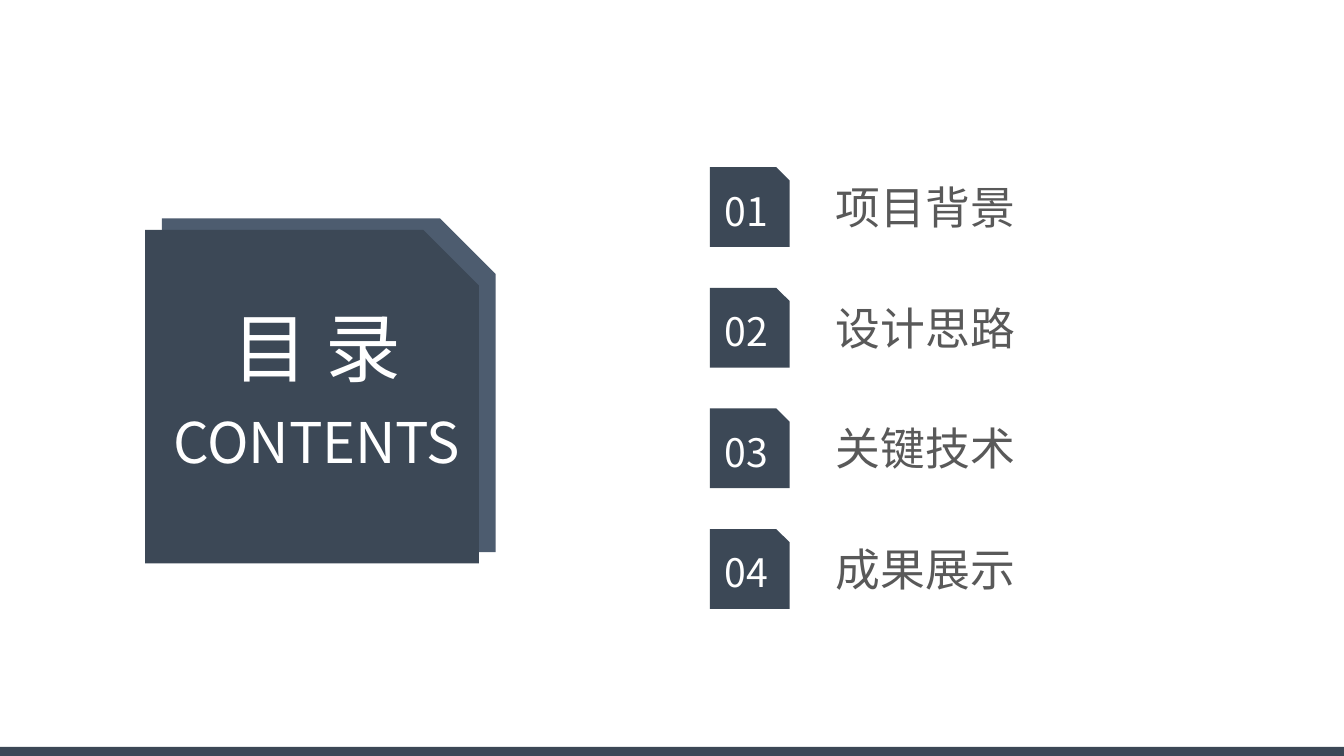
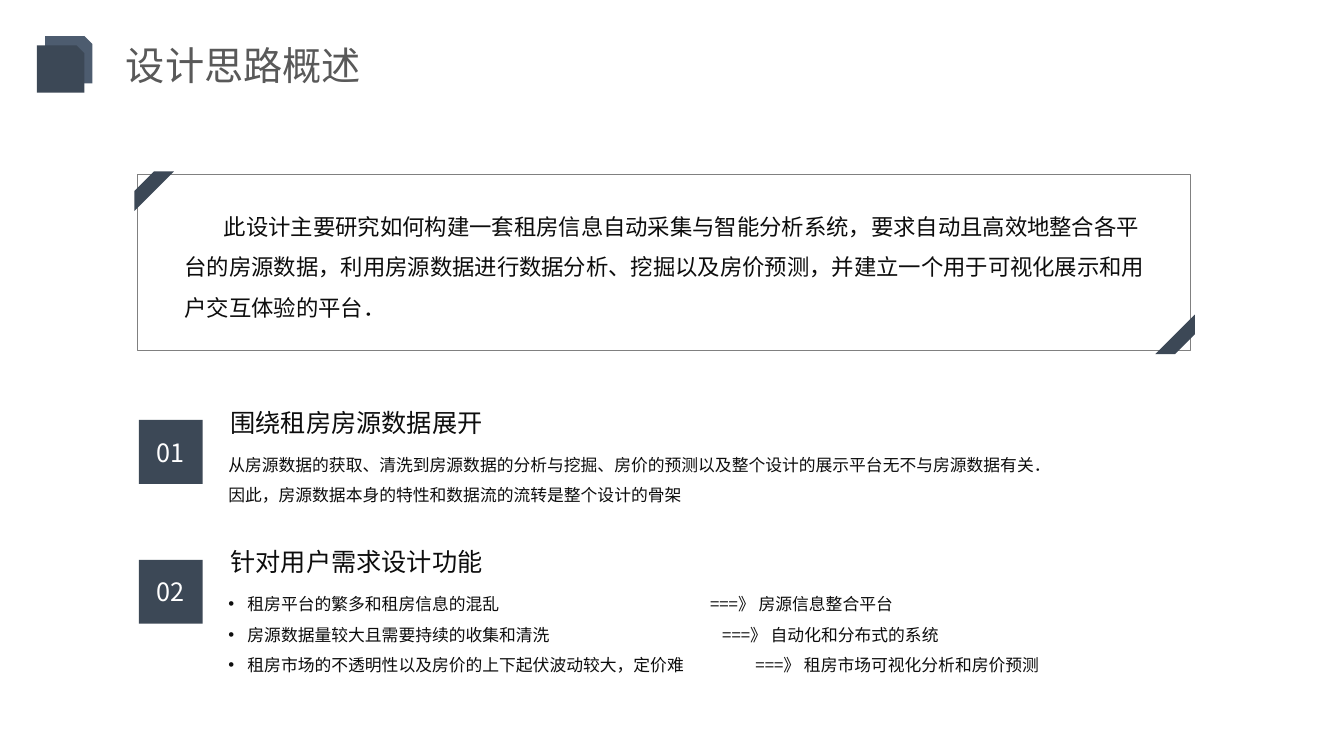
from dataclasses import dataclass

from lxml.etree import SubElement as Sub
from pptx import Presentation
from pptx.dml.color import RGBColor as RGB
from pptx.enum.shapes import MSO_SHAPE as Geo
from pptx.enum.text import MSO_ANCHOR as Anchor
from pptx.enum.text import MSO_AUTO_SIZE as Fit
from pptx.enum.text import PP_ALIGN as Align
from pptx.oxml.ns import qn
from pptx.util import Inches, Length, Pt

# Shared look
FACE = "Noto Sans CJK SC"
DARK = RGB(0x3C, 0x48, 0x56)
SLATE = RGB(0x4D, 0x5C, 0x6F)
GREY = RGB(0x59, 0x59, 0x59)
RULE = RGB(0x80, 0x80, 0x80)
INK = RGB(0x0D, 0x0D, 0x0D)
WHITE = RGB(0xFF, 0xFF, 0xFF)

# The slide is a grid of square cells
COLS, ROWS = 80, 45
CELL = 7.5 / ROWS


@dataclass
class Box:
    """An area in columns and rows."""
    x: float
    y: float
    w: float
    h: float

    def place(self) -> tuple[Length, ...]:
        return tuple(Inches(n * CELL) for n in (self.x, self.y, self.w, self.h))


@dataclass
class Style:
    size: float
    color: RGB
    align: Align = Align.LEFT
    space: float = 1.0


@dataclass
class Line:
    text: str
    bullet: bool = False
    first: float = 0
    tab: float = 0


@dataclass
class Part:
    head: str
    lines: list[Line]


HEAD = Style(28, GREY)
COVER = Style(54, WHITE, Align.CENTER)
SUB = Style(40, WHITE, Align.CENTER)
ITEM = Style(32, GREY)
TOPIC = Style(18, INK, space=1.5)
BODY = Style(12, INK, space=1.5)
LEAD = Style(16, INK, space=1.5)


def write(frame, lines: list[Line], style: Style) -> None:
    for i, line in enumerate(lines):
        para = frame.paragraphs[0] if i == 0 else frame.add_paragraph()
        para.text = line.text
        para.alignment = style.align
        para.line_spacing = style.space
        props = para._p.get_or_add_pPr()
        if line.first:
            props.set("indent", str(Inches(line.first)))
        if line.bullet:
            props.set("marL", str(Inches(0.19)))
            props.set("indent", str(Inches(-0.19)))
            Sub(props, qn("a:buFont"), typeface="Arial")
            Sub(props, qn("a:buChar"), char="•")
        if line.tab:
            tabs = Sub(props, qn("a:tabLst"))
            Sub(tabs, qn("a:tab"), pos=str(Inches(line.tab)), algn="l")
        font = para.font
        font.size = Pt(style.size)
        font.color.rgb = style.color
        font.name = FACE
        Sub(props.find(qn("a:defRPr")), qn("a:ea"), typeface=FACE)


def add_text(slide, box: Box, lines: list[Line], style: Style,
             wrap: bool = True) -> None:
    frame = slide.shapes.add_textbox(*box.place()).text_frame
    frame.word_wrap = wrap
    write(frame, lines, style)


def add_form(slide, geo: Geo, box: Box, fill: RGB | None = DARK):
    form = slide.shapes.add_shape(geo, *box.place())
    form.shadow.inherit = False
    if fill is None:
        form.fill.background()
        form.line.color.rgb = RULE
        form.line.width = Pt(0.5)
    else:
        form.fill.solid()
        form.fill.fore_color.rgb = fill
        form.line.fill.background()
    return form


def add_badge(slide, geo: Geo, box: Box, num: int, size: float,
              inset: float) -> None:
    frame = add_form(slide, geo, box).text_frame
    frame.margin_left = frame.margin_right = Inches(inset)
    frame.margin_top = frame.margin_bottom = Inches(inset)
    frame.vertical_anchor = Anchor.MIDDLE
    write(frame, [Line(f"{num:02}")], Style(size, WHITE, Align.CENTER))


def add_stamp(slide, box: Box, dx: float, dy: float) -> None:
    back = Box(box.x + dx, box.y - dy, box.w, box.h)
    add_form(slide, Geo.SNIP_1_RECTANGLE, back, SLATE)
    add_form(slide, Geo.SNIP_1_RECTANGLE, box)


def set_title(slide, box: Box, text: str, style: Style, anchor: Anchor) -> None:
    title = slide.shapes.title
    title.left, title.top, title.width, title.height = box.place()
    frame = title.text_frame
    frame.auto_size = Fit.NONE
    frame.word_wrap = True
    frame.vertical_anchor = anchor
    write(frame, [Line(text)], style)
    # Bring the title in front of the shapes drawn so far
    title.element.getparent().append(title.element)


def contents(slide) -> None:
    # Cover block
    add_stamp(slide, Box(8.64, 13.68, 19.86, 19.86), 1, 0.68)
    set_title(slide, Box(9.2, 17.6, 19.3, 6.1), "目 录", COVER, Anchor.TOP)
    add_text(slide, Box(6.66, 23.94, 24.4, 4.6), [Line("CONTENTS")], SUB)
    # Numbered entries
    names = ["项目背景", "设计思路", "关键技术", "成果展示"]
    for i, name in enumerate(names):
        step = i * 7.18
        add_badge(slide, Geo.SNIP_1_RECTANGLE,
                  Box(42.25, 9.95 + step, 4.75, 4.75), i + 1, 28, 0.04)
        add_text(slide, Box(49.15, 10.4 + step, 22, 3.85), [Line(name)], ITEM)
    # Bottom band
    add_form(slide, Geo.RECTANGLE, Box(0, 44.45, COLS, 0.55))


def match(need: str, reply: str, tab: float) -> Line:
    return Line("\t".join((need, f"===》 {reply}")), bullet=True, tab=tab)


PARTS = [
    Part("围绕租房房源数据展开", [
        Line("从房源数据的获取、清洗到房源数据的分析与挖掘、房价的预测"
             "以及整个设计的展示平台无不与房源数据有关．"),
        Line("因此，房源数据本身的特性和数据流的流转是整个设计的骨架"),
    ]),
    Part("针对用户需求设计功能", [
        match("租房平台的繁多和租房信息的混乱", "房源信息整合平台", 4.78),
        match("房源数据量较大且需要持续的收集和清洗", "自动化和分布式的系统", 4.9),
        match("租房市场的不透明性以及房价的上下起伏波动较大，定价难",
              "租房市场可视化分析和房价预测", 5.23),
    ]),
]
AIM = ("此设计主要研究如何构建一套租房信息自动采集与智能分析系统，"
       "要求自动且高效地整合各平台的房源数据，利用房源数据进行数据分析、"
       "挖掘以及房价预测，并建立一个用于可视化展示和用户交互体验的平台．")


def overview(slide) -> None:
    # Heading
    add_stamp(slide, Box(2.2, 2.7, 2.82, 2.82), 0.48, 0.55)
    set_title(slide, Box(6.9, 1.7, 32.9, 4.3), "设计思路概述", HEAD,
              Anchor.MIDDLE)
    # Framed summary with striped corners
    add_form(slide, Geo.RECTANGLE, Box(8.16, 10.4, 62.7, 10.43), None)
    add_form(slide, Geo.DIAGONAL_STRIPE, Box(8, 10.2, 2.35, 2.35))
    end = add_form(slide, Geo.DIAGONAL_STRIPE, Box(68.77, 18.73, 2.35, 2.35))
    end.rotation = 180
    add_text(slide, Box(10.4, 11.6, 58.75, 7.6), [Line(AIM, first=0.39)], LEAD)
    # Numbered parts
    for i, part in enumerate(PARTS):
        step = i * 8.32
        add_badge(slide, Geo.RECTANGLE, Box(8.27, 25 + step, 3.8, 3.8),
                  i + 1, 18, 0)
        add_text(slide, Box(13, 26.15 + step, 62, 2 * len(part.lines)),
                 part.lines, BODY)
        add_text(slide, Box(13.13, 23.03 + step, 17.3, 4.2),
                 [Line(part.head)], TOPIC, wrap=False)


def main() -> None:
    deck = Presentation()
    deck.slide_width = Inches(COLS * CELL)
    deck.slide_height = Inches(ROWS * CELL)
    plain = deck.slide_layouts.get_by_name("Title Only")
    for draw in (contents, overview):
        draw(deck.slides.add_slide(plain))
    deck.save("out.pptx")


if __name__ == "__main__":
    main()
